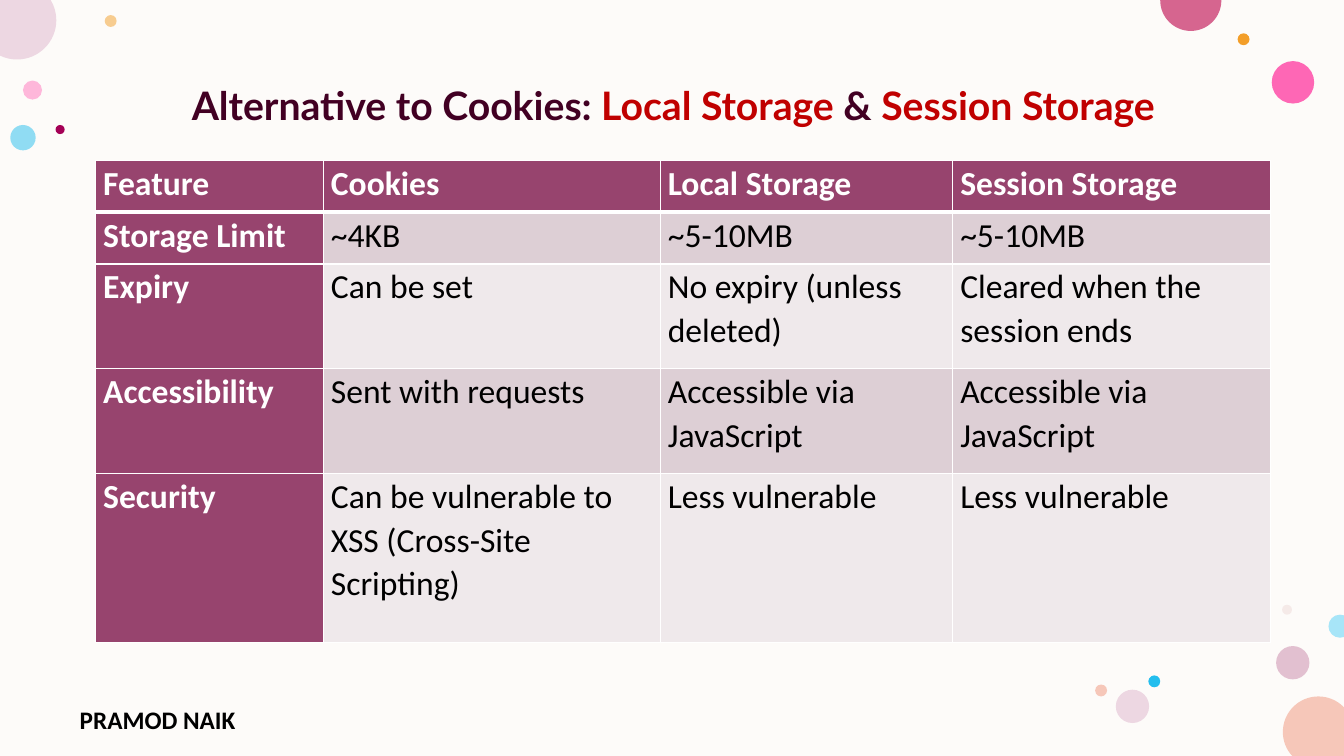
import math
from dataclasses import dataclass
from typing import Optional

import pptx
import pptx.dml.color
import pptx.enum.shapes
import pptx.enum.text
import pptx.oxml
import pptx.oxml.ns
import pptx.util
from pptx.util import Cm

WIDTH, HEIGHT = 33.87, 19.05


@dataclass(frozen=True)
class Theme:
    background: str = "FDFBF9"
    title: str = "420023"
    accent: str = "C00000"
    text: str = "000000"
    white: str = "FFFFFF"
    header: str = "97446E"
    bands: tuple[str, str] = ("DDCFD5", "EFE9EB")
    title_font: str = "Lato"
    body_font: str = "Calibri"
    title_size: int = 28
    table_size: int = 24
    author_size: int = 18
    thin_border: int = 1
    thick_border: int = 3


THEME = Theme()


@dataclass(frozen=True)
class Bubble:
    """A circle; one cut by the slide edge shows only its arc, in clockwise degrees."""
    left: float
    top: float
    diameter: float
    color: str
    opacity: int = 100
    arc: Optional[tuple[float, float]] = None
    corner: Optional[tuple[float, float]] = None


BUBBLES = [
    Bubble(0.58, 2.03, 0.48, "FF75BD", 50),
    Bubble(2.64, 0.38, 0.3, "F39E29", 50),
    Bubble(32.16, 16.28, 0.84, "C987A8", 50),
    Bubble(0.26, 3.15, 0.64, "24BEEE", 50),
    Bubble(32.05, 1.54, 1.07, "FF2F9C", 72),
    Bubble(31.19, 0.84, 0.3, "F39E29"),
    Bubble(32.31, 15.24, 0.25, "E3BEBE", 28),
    Bubble(28.94, 17.02, 0.3, "24BEEE"),
    Bubble(28.12, 17.38, 0.84, "EDD7E2"),
    Bubble(27.6, 17.25, 0.3, "F6C7B9"),
    Bubble(32.33, 17.55, 1.79, "F6C7B9", arc=(137.5, 316.1), corner=(WIDTH, HEIGHT)),
    Bubble(-0.56, -0.48, 1.98, "EDD7E2", arc=(-31, 115.7), corner=(0, 0)),
    Bubble(29.24, -0.76, 1.54, "D6658F", arc=(-0.7, 180.7)),
    Bubble(1.4, 3.15, 0.23, "A40056"),
    Bubble(33.48, 15.49, 0.58, "A7E5F8", arc=(69.8, 290.2)),
]

COLUMN_WIDTHS = [5.74, 8.49, 7.37, 8.01]
ROW_HEIGHTS = [1.3, 1.3, 2.64, 2.64, 4.27]
ROWS = [
    ["Feature", "Cookies", "Local Storage", "Session Storage"],
    ["Storage Limit", "~4KB", "~5-10MB", "~5-10MB"],
    ["Expiry", "Can be set", "No expiry (unless deleted)", "Cleared when the session ends"],
    ["Accessibility", "Sent with requests", "Accessible via JavaScript", "Accessible via JavaScript"],
    ["Security", "Can be vulnerable to XSS (Cross-Site Scripting)", "Less vulnerable", "Less vulnerable"],
]


def rgb(color: str) -> pptx.dml.color.RGBColor:
    return pptx.dml.color.RGBColor.from_string(color)


def format_run(r, font: str, size: int, color: str, bold: bool) -> None:
    r.font.name = font
    r.font.size = pptx.util.Pt(size)
    r.font.color.rgb = rgb(color)
    r.font.bold = bold


def paint(sp, color: str) -> None:
    sp.shadow.inherit = False
    sp.line.fill.background()
    sp.fill.solid()
    sp.fill.fore_color.rgb = rgb(color)


def add_cut_circle(shapes, bubble: Bubble):
    """Draw the arc as one Bézier curve per quadrant, closed along the slide edge."""
    radius = bubble.diameter / 2
    start, end = bubble.arc
    stops = [start, *(a for a in range(0, 360, 90) if start < a < end), end]

    def point(angle: float, reach: float = 0) -> tuple[int, int]:
        x = bubble.left + radius * (1 + math.cos(angle) - reach * math.sin(angle))
        y = bubble.top + radius * (1 + math.sin(angle) + reach * math.cos(angle))
        return Cm(min(max(x, 0), WIDTH)), Cm(min(max(y, 0), HEIGHT))

    points = []
    for a, b in zip(map(math.radians, stops), map(math.radians, stops[1:])):
        reach = 4 / 3 * math.tan((b - a) / 4)
        points += [point(a, reach), point(b, -reach), point(b)]
    if bubble.corner:
        points.append(tuple(map(Cm, bubble.corner)))
    builder = shapes.build_freeform(*point(math.radians(start)))
    builder.add_line_segments(points, close=True)
    sp = builder.convert_to_shape()

    lines = list(sp._element.iter(pptx.oxml.ns.qn("a:lnTo")))
    for i in range(0, 3 * (len(stops) - 1), 3):
        curve = pptx.oxml.parse_xml(f'<a:cubicBezTo {pptx.oxml.ns.nsdecls("a")}/>')
        lines[i].addprevious(curve)
        for line in lines[i:i + 3]:
            curve.append(line[0])
            line.getparent().remove(line)
    return sp


def add_bubble(shapes, bubble: Bubble) -> None:
    if bubble.arc:
        sp = add_cut_circle(shapes, bubble)
    else:
        size = Cm(bubble.diameter)
        sp = shapes.add_shape(pptx.enum.shapes.MSO_SHAPE.OVAL,
                              Cm(bubble.left), Cm(bubble.top), size, size)
    paint(sp, bubble.color)
    if bubble.opacity < 100:
        color = sp._element.spPr.find(".//" + pptx.oxml.ns.qn("a:srgbClr"))
        color.append(pptx.oxml.parse_xml(
            f'<a:alpha {pptx.oxml.ns.nsdecls("a")} val="{bubble.opacity * 1000}"/>'))


def add_text_box(shapes, left: float, top: float, width: float, height: float):
    tf = shapes.add_textbox(Cm(left), Cm(top), Cm(width), Cm(height)).text_frame
    tf.word_wrap = True
    return tf.paragraphs[0]


def add_title(shapes) -> None:
    p = add_text_box(shapes, 2.16, 2.06, 29.62, 1.5)
    p.alignment = pptx.enum.text.PP_ALIGN.CENTER
    p.line_spacing = 0.9
    parts = [
        ("Alternative to Cookies: ", THEME.title),
        ("Local Storage", THEME.accent),
        (" & ", THEME.title),
        ("Session Storage", THEME.accent),
    ]
    for text, color in parts:
        r = p.add_run()
        r.text = text
        format_run(r, THEME.title_font, THEME.title_size, color, True)


def add_author(shapes) -> None:
    p = add_text_box(shapes, 1.76, 17.63, 6.22, 0.81)
    p.text = "PRAMOD NAIK"
    format_run(p.runs[0], THEME.body_font, THEME.author_size, THEME.text, True)


def set_borders(cell, row: int) -> None:
    widths = dict.fromkeys("LRTB", THEME.thin_border)
    if row < 2:
        widths["B" if row == 0 else "T"] = THEME.thick_border
    for side, width in widths.items():
        cell._tc.get_or_add_tcPr().append(pptx.oxml.parse_xml(
            f'<a:ln{side} {pptx.oxml.ns.nsdecls("a")} w="{pptx.util.Pt(width)}">'
            f'<a:solidFill><a:srgbClr val="{THEME.white}"/></a:solidFill></a:ln{side}>'))


def fill_cell(cell, text: str, row: int, column: int) -> None:
    heading = row == 0 or column == 0
    set_borders(cell, row)
    cell.fill.solid()
    cell.fill.fore_color.rgb = rgb(THEME.header if heading else THEME.bands[(row - 1) % 2])
    cell.margin_left = cell.margin_right = Cm(0.19)
    cell.margin_top = cell.margin_bottom = 0
    p = cell.text_frame.paragraphs[0]
    p.text = text
    p.line_spacing = 1.07
    p.space_after = pptx.util.Pt(8)
    format_run(p.runs[0], THEME.body_font, THEME.table_size,
               THEME.white if heading else THEME.text, heading)


def add_comparison(shapes) -> None:
    table = shapes.add_table(len(ROWS), len(COLUMN_WIDTHS), Cm(2.41), Cm(4.05),
                             Cm(sum(COLUMN_WIDTHS)), Cm(sum(ROW_HEIGHTS))).table
    for column, width in zip(table.columns, COLUMN_WIDTHS):
        column.width = Cm(width)
    for i, (height, texts) in enumerate(zip(ROW_HEIGHTS, ROWS)):
        table.rows[i].height = Cm(height)
        for j, text in enumerate(texts):
            fill_cell(table.cell(i, j), text, i, j)


def main() -> None:
    prs = pptx.Presentation()
    prs.slide_width, prs.slide_height = Cm(WIDTH), Cm(HEIGHT)
    shapes = prs.slides.add_slide(prs.slide_layouts[6]).shapes
    backdrop = shapes.add_shape(pptx.enum.shapes.MSO_SHAPE.RECTANGLE,
                                0, 0, prs.slide_width, prs.slide_height)
    paint(backdrop, THEME.background)
    for bubble in BUBBLES:
        add_bubble(shapes, bubble)
    add_author(shapes)
    add_title(shapes)
    add_comparison(shapes)
    prs.save("out.pptx")


if __name__ == "__main__":
    main()
